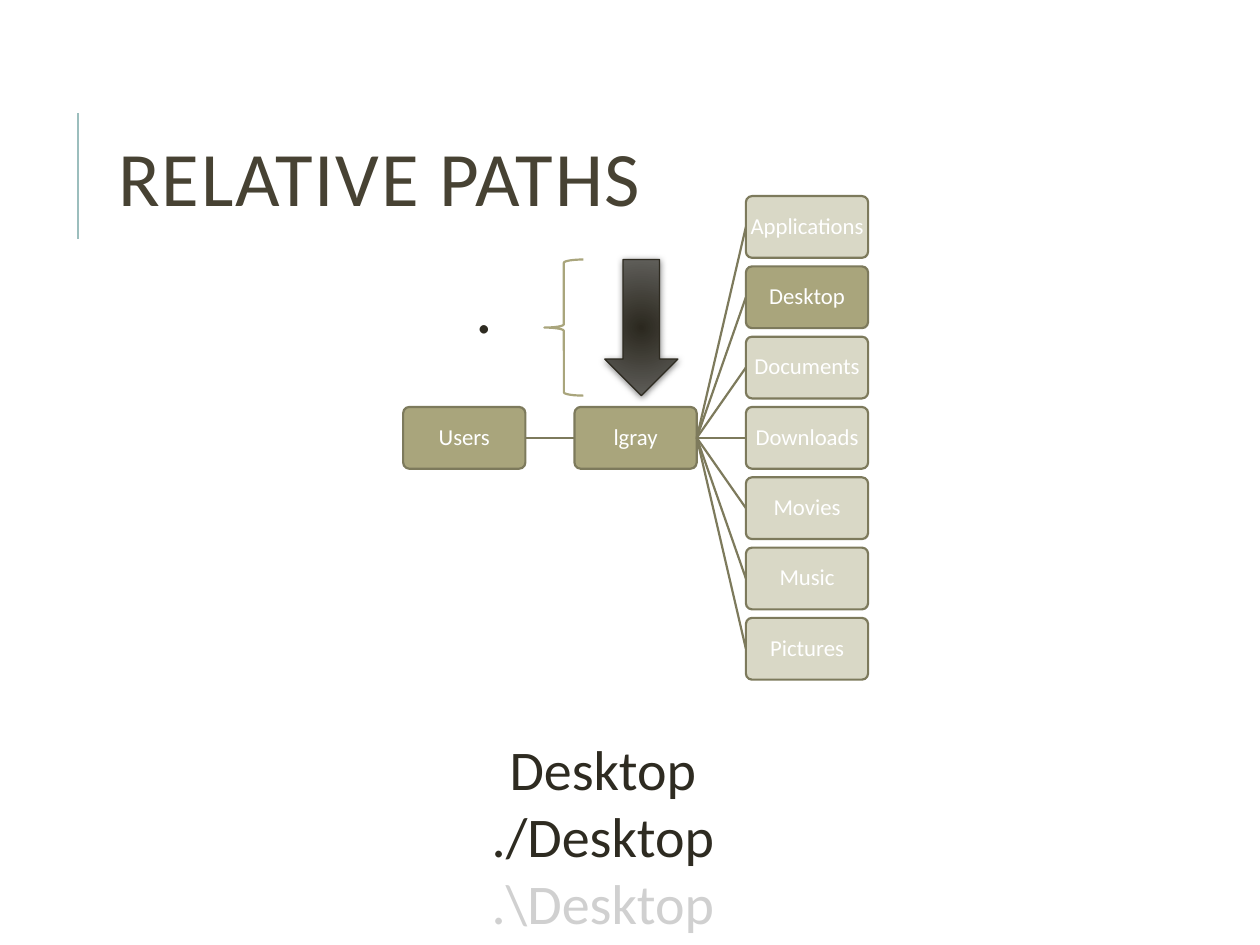
from dataclasses import dataclass

from lxml import etree
from pptx import Presentation
from pptx import util as u
from pptx.dml.color import RGBColor
from pptx.enum import shapes, text
from pptx.oxml import parse_xml
from pptx.oxml.ns import nsdecls, qn

COLUMNS, ROWS = 100, 75
RIGHT_SITE, LEFT_SITE = 3, 1


@dataclass(frozen=True)
class Theme:
    font: str = "Calibri"
    heading: str = "474233"
    ink: str = "2E2B21"
    muted: str = "D0D0D0"
    white: str = "FFFFFF"
    olive: str = "A9A57C"
    olive_dark: str = "7D7A5C"
    accent: str = "9CBEBD"
    arrow_center: str = "2B281F"
    arrow_edge: str = "656460"
    title_size: float = 44
    dot_size: float = 40
    path_size: float = 32
    node_size: float = 13
    line: float = 1.25
    accent_line: float = 1.5
    arrow_line: float = 0.75
    faded_alpha: int = 43


class SlideBuilder:
    def __init__(self, presentation, theme):
        self.theme = theme
        self.cell_width = presentation.slide_width / COLUMNS
        self.cell_height = presentation.slide_height / ROWS
        self.slide = presentation.slides.add_slide(presentation.slide_layouts[5])

    def place(self, left, top, width, height):
        """Turn grid columns and rows into slide lengths."""
        return [int(value * cell) for value, cell in
                zip((left, top, width, height), (self.cell_width, self.cell_height) * 2)]

    def set_text(self, shape, lines, size, align=text.PP_ALIGN.CENTER, spacing=1.0,
                 **frame_format):
        """Fill a shape with (wording, colour) lines."""
        frame = shape.text_frame
        values = {"word_wrap": True, "auto_size": text.MSO_AUTO_SIZE.NONE, **frame_format}
        for name, value in values.items():
            setattr(frame, name, value)
        for index, (wording, color) in enumerate(lines):
            paragraph = frame.add_paragraph() if index else frame.paragraphs[0]
            paragraph.alignment, paragraph.line_spacing = align, spacing
            run = paragraph.add_run()
            run.text = wording
            for name, value in {"name": self.theme.font, "size": u.Pt(size)}.items():
                setattr(run.font, name, value)
            run.font.color.rgb = RGBColor.from_string(color)

    def outline(self, shape, color, width):
        shape.line.color.rgb = RGBColor.from_string(color)
        shape.line.width = u.Pt(width)

    def title(self, wording, area):
        title = self.slide.shapes.title
        title.left, title.top, title.width, title.height = self.place(*area)
        self.set_text(title, [(wording, self.theme.heading)], self.theme.title_size,
                      text.PP_ALIGN.LEFT, 0.8, vertical_anchor=text.MSO_ANCHOR.MIDDLE)
        title.text_frame.paragraphs[0].runs[0].font._element.set("spc", "100")

    def text_box(self, lines, area, size):
        self.set_text(self.slide.shapes.add_textbox(*self.place(*area)), lines, size)

    def shape(self, kind, area, line_color, line_width):
        shape = self.slide.shapes.add_shape(kind, *self.place(*area))
        shape.shadow.inherit = False
        shape.fill.background()
        self.outline(shape, line_color, line_width)
        return shape

    def node(self, wording, column, row, faded=False):
        """Add a folder box; row 0 is the middle row of the tree."""
        theme = self.theme
        area = (32 + 13.6 * column, 32.3 + 5.58 * row, 9.7, 4.9)
        box = self.shape(shapes.MSO_SHAPE.ROUNDED_RECTANGLE, area, theme.olive_dark, theme.line)
        box.adjustments[0] = 0.1
        box.fill.solid()
        box.fill.fore_color.rgb = RGBColor.from_string(theme.olive)
        if faded:
            color = box._element.spPr.find(qn("a:solidFill"))[0]
            etree.SubElement(color, qn("a:alpha"), val=str(theme.faded_alpha * 1000))
        margins = dict.fromkeys(("margin_left", "margin_right", "margin_top", "margin_bottom"), 0)
        self.set_text(box, [(wording, theme.white)], theme.node_size, spacing=0.9,
                      vertical_anchor=text.MSO_ANCHOR.MIDDLE, **margins)
        return box

    def line(self, color, width, area=(0, 0, 0, 0)):
        left, top, across, down = self.place(*area)
        line = self.slide.shapes.add_connector(
            shapes.MSO_CONNECTOR.STRAIGHT, left, top, left + across, top + down)
        self.outline(line, color, width)
        etree.SubElement(line._element.spPr, qn("a:effectLst"))
        return line

    def link(self, parent, child):
        line = self.line(self.theme.olive_dark, self.theme.line)
        line.begin_connect(parent, RIGHT_SITE)
        line.end_connect(child, LEFT_SITE)

    def arrow(self, area):
        """Add the down arrow with its radial gradient and soft shadow."""
        theme = self.theme
        arrow = self.shape(shapes.MSO_SHAPE.DOWN_ARROW, area, theme.ink, theme.arrow_line)
        properties = arrow._element.spPr
        gradient = parse_xml(
            f'<a:gradFill {nsdecls("a")} rotWithShape="1"><a:gsLst>'
            f'<a:gs pos="0"><a:srgbClr val="{theme.arrow_center}"/></a:gs>'
            f'<a:gs pos="100000"><a:srgbClr val="{theme.arrow_edge}"/></a:gs></a:gsLst>'
            '<a:path path="circle"><a:fillToRect l="100000" t="100000" r="100000" b="100000"/>'
            '</a:path></a:gradFill>')
        properties.replace(properties.find(qn("a:noFill")), gradient)
        properties.find(qn("a:effectLst")).append(parse_xml(
            f'<a:outerShdw {nsdecls("a")} blurRad="{u.Pt(4)}" dist="{u.Pt(1)}" dir="5400000" '
            'rotWithShape="0"><a:srgbClr val="000000"><a:alpha val="50000"/></a:srgbClr>'
            '</a:outerShdw>'))


def main():
    presentation = Presentation()
    presentation.slide_width, presentation.slide_height = u.Inches(10), u.Inches(7.5)
    theme = Theme()
    builder = SlideBuilder(presentation, theme)

    builder.line(theme.accent, theme.accent_line, (6.2, 9, 0, 10))
    builder.title("RELATIVE PATHS", (8.4, 6.4, 79.7, 16.4))

    users = builder.node("Users", 0, 0)
    home = builder.node("lgray", 1, 0)
    builder.link(users, home)
    folders = ["Applications", "Desktop", "Documents", "Downloads", "Movies", "Music", "Pictures"]
    for row, folder in enumerate(folders, start=-(len(folders) // 2)):
        builder.link(home, builder.node(folder, 2, row, faded=folder != "Desktop"))

    paths = [("Desktop", theme.ink), ("./Desktop", theme.ink), (".\\Desktop", theme.muted)]
    builder.text_box(paths, (7.9, 57.8, 79.9, 17.2), theme.path_size)
    builder.arrow((48, 20.6, 5.8, 10.8))
    builder.text_box([(".", theme.ink)], (35.5, 20.4, 5.8, 7.7), theme.dot_size)
    builder.shape(shapes.MSO_SHAPE.LEFT_BRACE, (43.2, 20.6, 3.1, 10.8), theme.olive, theme.line)

    presentation.save("out.pptx")


if __name__ == "__main__":
    main()
